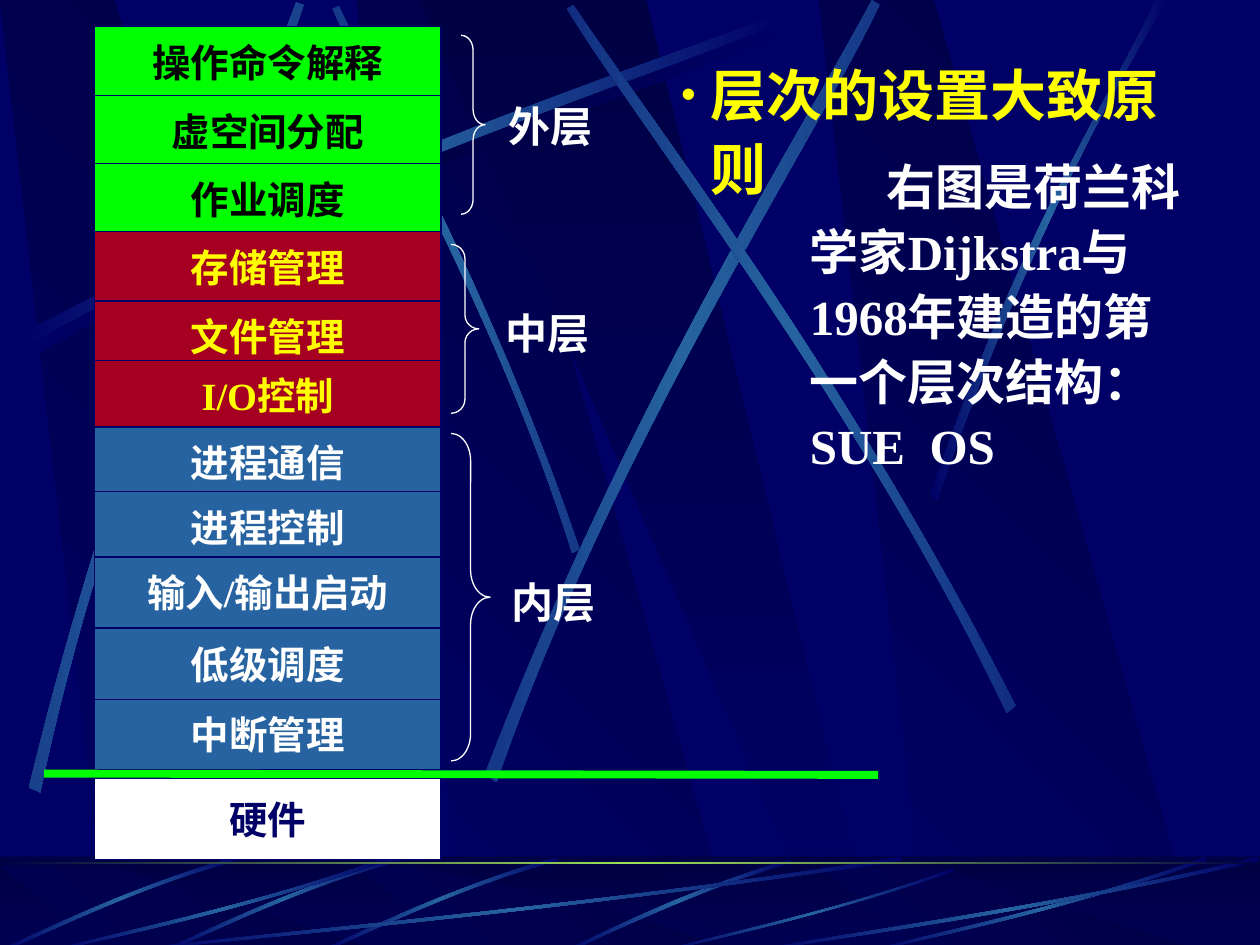
from math import cos, radians, sin

from lxml.etree import SubElement
from pptx import Presentation
from pptx.dml.color import RGBColor
from pptx.enum.shapes import MSO_CONNECTOR, MSO_SHAPE
from pptx.enum.text import MSO_ANCHOR, PP_ALIGN
from pptx.oxml.ns import qn
from pptx.util import Inches, Pt

NAVY = RGBColor(0x00, 0x00, 0x66)
DARK = RGBColor(0x00, 0x00, 0x44)
BLUE = RGBColor(0x26, 0x63, 0xA0)
LIME = RGBColor(0x9C, 0xE1, 0x57)
GREEN = RGBColor(0x00, 0xFF, 0x00)
RED = RGBColor(0xA5, 0x00, 0x21)
YELLOW = RGBColor(0xFF, 0xFF, 0x00)
WHITE = RGBColor(0xFF, 0xFF, 0xFF)
BLACK = RGBColor(0x00, 0x00, 0x00)
FONT = "Times New Roman"

# Streaks: rotation, then two edges, each a start, two controls and an end
WALL_STREAKS = [
    (45, [(4.6, 4.36), (3.91, 2.34), (3.02, 0.77), (2.69, 0.05)],
     [(2.64, 0.07), (2.95, 0.79), (3.98, 2.58), (4.54, 4.39)]),
    (0, [(0.14, 2.67), (2.78, 1.25), (5.18, 0.51), (6.2, 0.1)],
     [(6.23, 0.16), (5.22, 0.61), (2.48, 1.43), (0.17, 2.77)]),
    (311.7, [(0.23, 6.25), (0.93, 3.34), (1.97, 1.05), (2.35, 0.02)],
     [(2.41, 0.04), (2.07, 1.08), (0.86, 3.68), (0.32, 6.29)]),
    (321.6, [(3.85, 6.14), (4.98, 3.2), (6.38, 1.02), (6.92, 0)],
     [(6.98, 0.04), (6.49, 1.08), (4.86, 3.55), (3.94, 6.21)]),
    (34.8, [(8.06, 5.6), (6.7, 2.93), (5.16, 0.95), (4.55, 0.04)],
     [(4.5, 0.07), (5.07, 1.01), (6.85, 3.25), (7.99, 5.66)]),
    (0, [(7.38, 3.93), (8.14, 1.73), (8.88, 0.66), (9.17, 0)],
     [(9.27, 0), (8.36, 1.45), (7.69, 3.22), (7.44, 3.97)]),
]
DARK_STREAK = ([(0.2, 2.75), (2.84, 1.34), (5.24, 0.59), (6.26, 0.18)],
               [(6.29, 0.24), (5.28, 0.69), (2.54, 1.51), (0.23, 2.85)])
SHORT_STREAK = ([(1.87, 6.8), (1, 7.05), (0.32, 7.4), (0.01, 7.53)],
                [(0.02, 7.55), (0.33, 7.43), (1.1, 7.03), (1.89, 6.83)])
LONG_STREAK = ([(3.08, 6.83), (1.93, 7.23), (0.88, 7.44), (0.43, 7.55)],
               [(0.42, 7.54), (0.86, 7.41), (2.06, 7.18), (3.07, 6.8)])
FLOOR_STREAKS = [
    ([(6.27, 6.82), (5.37, 7.09), (4.77, 7.42), (4.48, 7.54)],
     [(4.53, 7.55), (4.9, 7.37), (5.71, 7), (6.28, 6.85)]),
    ([(7.17, 6.83), (4.49, 7.23), (2.06, 7.44), (1.03, 7.55)],
     [(1, 7.54), (2.02, 7.41), (4.8, 7.18), (7.14, 6.8)]),
    ([(7.58, 6.91), (6.58, 7.26), (5.67, 7.45), (5.28, 7.55)],
     [(5.27, 7.54), (5.65, 7.43), (6.69, 7.22), (7.57, 6.89)]),
    ([(10, 6.83), (8.27, 7.23), (6.69, 7.44), (6.02, 7.55)],
     [(6, 7.54), (6.66, 7.41), (8.46, 7.18), (9.98, 6.8)]),
]

# Layers: fill, text colour, then top and text of each
LAYER_GROUPS = [
    (GREEN, BLACK, [(0.21, "操作命令解释"), (0.76, "虚空间分配"), (1.3, "作业调度")]),
    (RED, YELLOW, [(1.84, "存储管理"), (2.39, "文件管理"), (2.86, "I/O控制")]),
    (BLUE, WHITE, [(3.39, "进程通信"), (3.9, "进程控制"), (4.42, "输入/输出启动"),
                   (4.99, "低级调度"), (5.55, "中断管理")]),
]


def set_gradient(shape, colors, angle):
    """Evenly spaced linear gradient, fixed to the page, angle clockwise in degrees."""
    shape.fill.gradient()
    gradient = shape.fill._xPr.find(qn("a:gradFill"))
    gradient.set("rotWithShape", "0")
    stops = gradient.find(qn("a:gsLst"))
    for stop in list(stops):
        stops.remove(stop)
    for index, color in enumerate(colors):
        stop = SubElement(stops, qn("a:gs"), pos=str(index * 100000 // (len(colors) - 1)))
        SubElement(stop, qn("a:srgbClr"), val=str(color))
    line = gradient.find(qn("a:lin"))
    line.set("ang", str(angle * 60000))
    line.set("scaled", "0")


def add_polygon(slide, points, colors, angle):
    corners = [(Inches(x), Inches(y)) for x, y in points]
    builder = slide.shapes.build_freeform(*corners[0])
    builder.add_line_segments(corners[1:], close=True)
    shape = builder.convert_to_shape()
    shape.shadow.inherit = False
    shape.line.fill.background()
    set_gradient(shape, colors, angle)
    return shape


def turn(point, degrees):
    """Turn a point clockwise about the page corner."""
    x, y = point
    cosine, sine = cos(radians(degrees)), sin(radians(degrees))
    return x * cosine - y * sine, x * sine + y * cosine


def add_streak(slide, edges, rotation=0, shift=0, glow=BLUE):
    # Lay the outline flat about its own centre, then rotate the shape
    flat = [turn((x + shift, y), -rotation) for edge in edges for x, y in edge]
    middle = [(min(values) + max(values)) / 2 for values in zip(*flat)]
    center = turn(middle, rotation)
    points = [(x - middle[0] + center[0], y - middle[1] + center[1]) for x, y in flat]
    shape = add_polygon(slide, points, [NAVY, glow, NAVY], 0)
    shape.rotation = rotation
    # Merge the three segments of each edge into one cubic curve
    segments = shape._element.findall(".//" + qn("a:lnTo"))
    for first in (0, 4):
        curve = segments[first]
        curve.tag = qn("a:cubicBezTo")
        for segment in segments[first + 1:first + 3]:
            curve.append(segment[0])
            segment.getparent().remove(segment)


def add_box(slide, left, top, width, height, fill=None, outline=None, kind=MSO_SHAPE.RECTANGLE):
    shape = slide.shapes.add_shape(kind, Inches(left), Inches(top), Inches(width), Inches(height))
    shape.shadow.inherit = False
    if fill is None:
        shape.fill.background()
    else:
        shape.fill.solid()
        shape.fill.fore_color.rgb = fill
    if outline is None:
        shape.line.fill.background()
    else:
        shape.line.color.rgb = outline
        shape.line.width = Pt(0.75)
    return shape


def write_text(shape, text, size, color, align=PP_ALIGN.LEFT, anchor=MSO_ANCHOR.MIDDLE,
               spacing=None, margin=0, indent=0, bullet=False):
    frame = shape.text_frame
    frame.word_wrap = True
    frame.vertical_anchor = anchor
    paragraph = frame.paragraphs[0]
    paragraph.alignment = align
    paragraph.line_spacing = spacing
    properties = paragraph._p.get_or_add_pPr()
    properties.set("marL", str(Inches(margin)))
    properties.set("indent", str(Inches(indent)))
    if bullet:
        bullet_color = SubElement(properties, qn("a:buClr"))
        SubElement(bullet_color, qn("a:srgbClr"), val=str(color))
        SubElement(properties, qn("a:buSzPct"), val="85000")
        SubElement(properties, qn("a:buFont"), typeface=FONT)
        SubElement(properties, qn("a:buChar"), char="•")
    run = paragraph.add_run()
    run.text = text
    run.font.name = FONT
    run.font.size = Pt(size)
    run.font.bold = True
    run.font.color.rgb = color


def add_text(slide, text, left, top, width, height, **text_format):
    box = slide.shapes.add_textbox(Inches(left), Inches(top), Inches(width), Inches(height))
    write_text(box, text, **text_format)


def add_bands(slide, top, bottom):
    """Slanted background bands between two heights."""
    for left in (2.83, 0, 6.5):
        corners = [(0.86, bottom), (3.02, bottom), (0.91, top), (0, top)]
        add_polygon(slide, [(left + x, y) for x, y in corners], [NAVY, DARK], 315)
    add_polygon(slide, [(3.33, top), (6.58, bottom), (6.94, bottom), (5.13, top)],
                [DARK, NAVY], 90)


def add_background(slide):
    slide.background.fill.solid()
    slide.background.fill.fore_color.rgb = NAVY
    # Wall
    add_bands(slide, 0, 7.52)
    add_streak(slide, DARK_STREAK, glow=DARK)
    for rotation, *edges in WALL_STREAKS:
        add_streak(slide, edges, rotation)
    # Floor
    set_gradient(add_box(slide, 0, 6.8, 10, 0.75, DARK), [DARK, NAVY], 90)
    add_bands(slide, 6.88, 7.54)
    veil = add_box(slide, 0, 6.79, 10, 0.75, DARK)
    SubElement(veil.fill._xPr.find(".//" + qn("a:srgbClr")), qn("a:alpha"), val="50000")
    for shift in (2.55, 1.3, 0):
        add_streak(slide, SHORT_STREAK, 314.9, shift)
    for shift in (0, 6.5):
        add_streak(slide, LONG_STREAK, shift=shift)
    for edges in FLOOR_STREAKS:
        add_streak(slide, edges)
    # Horizon
    set_gradient(add_box(slide, 0, 6.84, 10, 0.02, LIME), [DARK, LIME, DARK], 0)


def add_layer_stack(slide, left, width):
    for fill, color, layers in LAYER_GROUPS:
        for top, text in layers:
            box = add_box(slide, left, top, width, 0.56, fill, NAVY)
            write_text(box, text, size=22, color=color, align=PP_ALIGN.CENTER)
    # Boundary between software and hardware
    boundary = slide.shapes.add_connector(MSO_CONNECTOR.STRAIGHT, Inches(0.35), Inches(6.14),
                                          Inches(6.97), Inches(6.15))
    boundary.line.color.rgb = GREEN
    boundary.line.width = Pt(4.5)
    SubElement(boundary._element.spPr, qn("a:effectLst"))
    hardware = add_box(slide, left, 6.18, width, 0.64, WHITE, NAVY)
    write_text(hardware, "硬件", size=22, color=NAVY, align=PP_ALIGN.CENTER)


def add_brace(slide, left, top, width, height, label, label_box):
    brace = add_box(slide, left, top, width, height, outline=WHITE, kind=MSO_SHAPE.RIGHT_BRACE)
    brace.adjustments[0] = height / 12 / width
    add_text(slide, label, *label_box, size=24, color=WHITE)


def add_explanation(slide):
    add_text(slide, "右图是荷兰科学家Dijkstra与1968年建造的第一个层次结构：SUE  OS",
             6.33, 1.15, 3.16, 3.38, size=28, color=WHITE, anchor=MSO_ANCHOR.TOP,
             spacing=1.1, indent=0.61)
    add_text(slide, "层次的设置大致原则", 5.3, 0.38, 4.33, 0.69, size=32, color=YELLOW,
             anchor=MSO_ANCHOR.TOP, spacing=1.1, margin=0.24, indent=-0.24, bullet=True)


def main():
    presentation = Presentation()
    presentation.slide_width = Inches(10)
    presentation.slide_height = Inches(7.5)
    slide = presentation.slides.add_slide(presentation.slide_layouts[6])
    add_background(slide)
    add_layer_stack(slide, 0.75, 2.75)
    add_brace(slide, 3.66, 0.28, 0.19, 1.42, "外层", (3.94, 0.69, 1.22, 0.61))
    add_brace(slide, 3.58, 1.94, 0.22, 1.34, "中层", (3.91, 2.34, 1.41, 0.6))
    add_brace(slide, 3.58, 3.44, 0.31, 2.6, "内层", (3.96, 4.45, 1.36, 0.65))
    add_explanation(slide)
    presentation.save("out.pptx")


if __name__ == "__main__":
    main()
